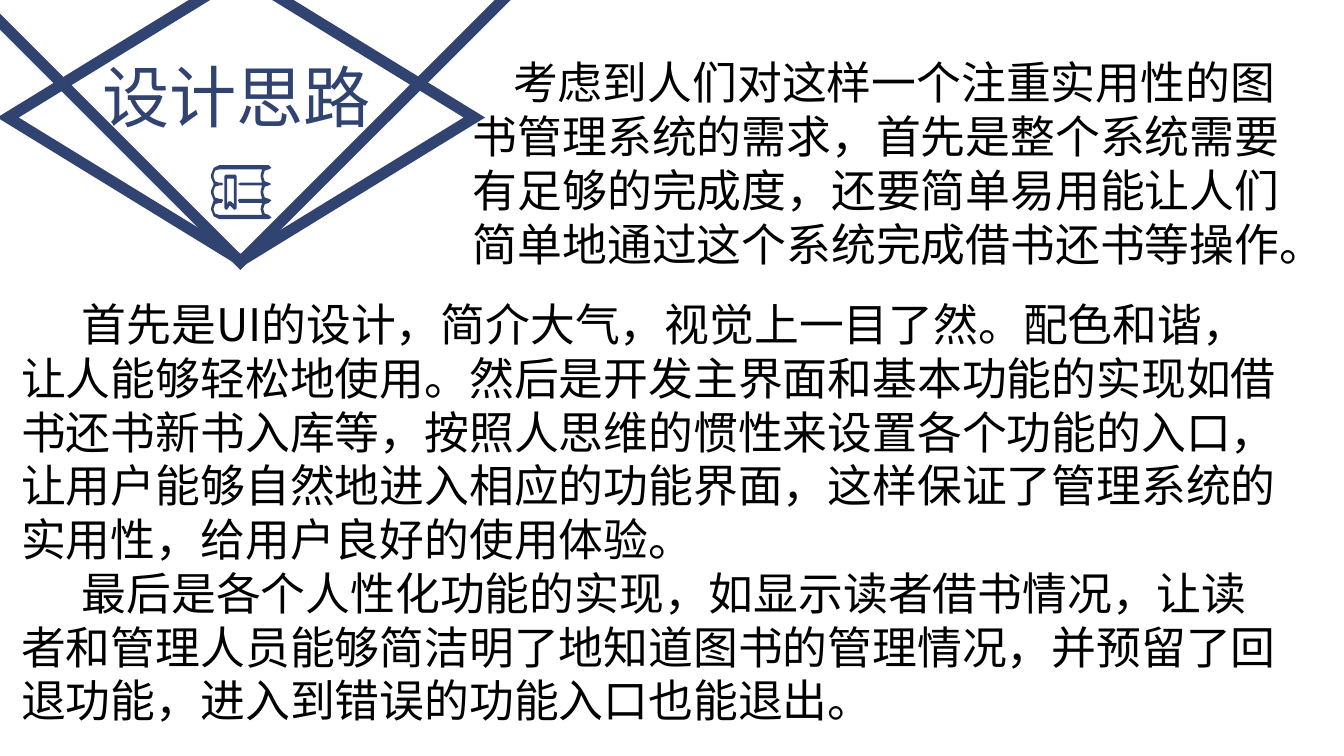
from dataclasses import dataclass

import lxml.etree
import pptx
import pptx.dml.color
import pptx.enum.lang
import pptx.enum.shapes
import pptx.enum.text
import pptx.oxml.ns
import pptx.util

PX = 9144
SLIDE_WIDTH = 1000
COLORS = {"navy": "304371", "text": "000000"}
CJK_FONT = "Noto Sans CJK SC"

Points = list[tuple[int, int]]


@dataclass
class TextBlock:
    left: int
    top: int
    width: int
    height: int
    paragraphs: list[str]
    size: int
    color: str
    font: str
    indent: int = 0
    centered: bool = False


@dataclass
class Outline:
    contours: list[Points]
    filled: bool


TITLE = TextBlock(65, 36, 222, 71, ["设计思路"], 36, "navy", "Calibri", centered=True)

BODY = [
    TextBlock(6, 216, 964, 374, [
        "首先是UI的设计，简介大气，视觉上一目了然。配色和谐，让人能够轻松地使用。"
        "然后是开发主界面和基本功能的实现如借书还书新书入库等，按照人思维的惯性来设置各个功能的入口，"
        "让用户能够自然地进入相应的功能界面，这样保证了管理系统的实用性，给用户良好的使用体验。",
        "最后是各个人性化功能的实现，如显示读者借书情况，让读者和管理人员能够简洁明了地知道图书的管理情况，"
        "并预留了回退功能，进入到错误的功能入口也能退出。",
    ], 24, "text", CJK_FONT, indent=45),
    TextBlock(342, 36, 628, 194, [
        "考虑到人们对这样一个注重实用性的图书管理系统的需求，首先是整个系统需要有足够的完成度，"
        "还要简单易用能让人们简单地通过这个系统完成借书还书等操作。",
    ], 24, "text", CJK_FONT, indent=30),
]

TRIANGLE = Outline([[(-49, -33), (407, -33), (179, 195)]], False)

BOOK = Outline([
    [(200, 160), (197, 159), (196, 156), (196, 155), (197, 152), (200, 151),
     (202, 149), (200, 148), (197, 147), (196, 144), (196, 142), (197, 139),
     (200, 138), (202, 137), (200, 136), (197, 135), (196, 132), (196, 130),
     (197, 127), (200, 126), (202, 125), (200, 123), (163, 123), (159, 125),
     (157, 130), (157, 132), (159, 137), (157, 142), (157, 144), (159, 149),
     (157, 155), (157, 156), (159, 161), (163, 163), (200, 163), (202, 162)],
    [(195, 136), (179, 136), (177, 137), (179, 138), (195, 138), (194, 142),
     (194, 144), (195, 148), (178, 148), (177, 149), (178, 151), (195, 151),
     (194, 155), (194, 156), (195, 160), (163, 160), (160, 159), (159, 156),
     (159, 155), (160, 152), (163, 151), (165, 151), (166, 149), (165, 148),
     (163, 148), (160, 147), (159, 144), (159, 142), (160, 139), (163, 138),
     (165, 138), (166, 137), (165, 136), (163, 136), (160, 135), (159, 132),
     (159, 130), (160, 127), (163, 126), (195, 126), (194, 130), (194, 132)],
], True)

BOOKMARK = Outline([
    [(168, 130), (167, 131), (167, 155), (168, 156), (169, 156), (171, 153),
     (174, 156), (175, 156), (176, 155), (176, 131), (175, 130)],
    [(174, 152), (172, 150), (170, 150), (169, 152), (169, 133), (174, 133)],
], True)


def rgb(name: str) -> pptx.dml.color.RGBColor:
    return pptx.dml.color.RGBColor.from_string(COLORS[name])


def style_shape(sp, filled: bool) -> None:
    sp.shadow.inherit = False
    if filled:
        sp.fill.solid()
        sp.fill.fore_color.rgb = rgb("navy")
        sp.line.fill.background()
    else:
        sp.fill.background()
        sp.line.color.rgb = rgb("navy")
        sp.line.width = pptx.util.Pt(6)
        ln = sp.line._get_or_add_ln()
        miter = lxml.etree.SubElement(ln, pptx.oxml.ns.qn("a:miter"))
        miter.set("lim", "800000")


def add_outline(s, outline: Outline) -> None:
    first, *holes = outline.contours
    builder = s.shapes.build_freeform(*first[0], scale=PX)
    builder.add_line_segments(first[1:], close=True)
    for hole in holes:
        builder.move_to(*hole[0])
        builder.add_line_segments(hole[1:], close=True)
    style_shape(builder.convert_to_shape(), outline.filled)


def add_text(s, block: TextBlock) -> None:
    sp = s.shapes.add_textbox(block.left * PX, block.top * PX,
                              block.width * PX, block.height * PX)
    tf = sp.text_frame
    tf.word_wrap = not block.centered
    tf.text = "\n".join(block.paragraphs)
    for p in tf.paragraphs:
        if block.centered:
            p.alignment = pptx.enum.text.PP_ALIGN.CENTER
        if block.indent:
            p._p.get_or_add_pPr().set("indent", str(block.indent * PX))
        for r in p.runs:
            r.font.size = pptx.util.Pt(block.size)
            r.font.name = block.font
            r.font.color.rgb = rgb(block.color)
            r.font.language_id = pptx.enum.lang.MSO_LANGUAGE_ID.SIMPLIFIED_CHINESE
            ea = lxml.etree.Element(pptx.oxml.ns.qn("a:ea"), typeface=CJK_FONT)
            r._r.rPr.find(pptx.oxml.ns.qn("a:latin")).addnext(ea)


def main() -> None:
    prs = pptx.Presentation()
    prs.slide_width = SLIDE_WIDTH * PX
    prs.slide_height = SLIDE_WIDTH * PX * 9 // 16
    s = prs.slides.add_slide(prs.slide_layouts[6])

    add_text(s, TITLE)
    add_outline(s, TRIANGLE)
    diamond = s.shapes.add_shape(pptx.enum.shapes.MSO_SHAPE.DIAMOND,
                                 6 * PX, -19 * PX, 347 * PX, 213 * PX)
    style_shape(diamond, False)
    for outline in (BOOK, BOOKMARK):
        add_outline(s, outline)
    for block in BODY:
        add_text(s, block)

    prs.save("out.pptx")


if __name__ == "__main__":
    main()
